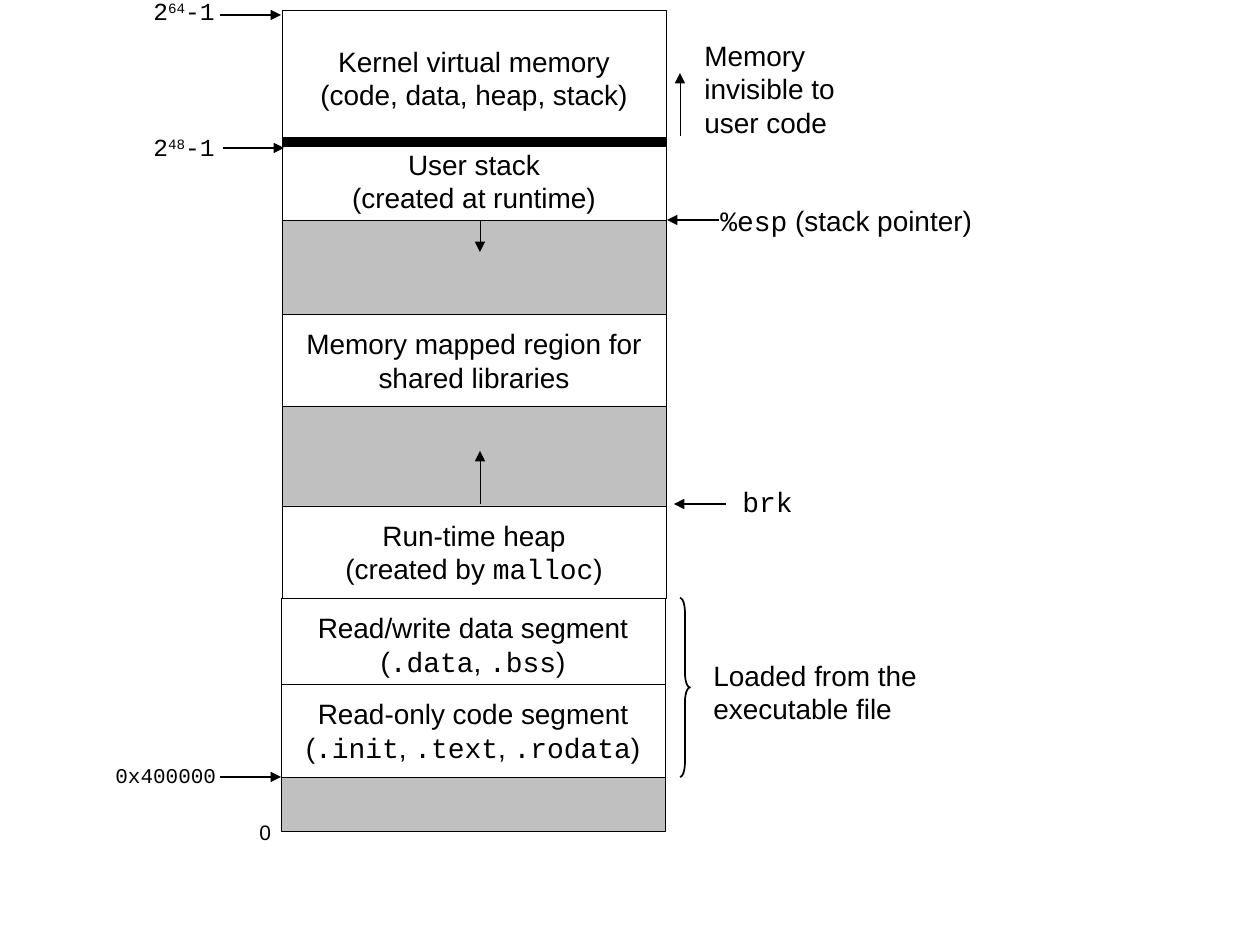
from pptx import Presentation
from pptx.dml.color import RGBColor
from pptx.enum.shapes import MSO_CONNECTOR as Conn, MSO_SHAPE as Kind
from pptx.enum.text import MSO_ANCHOR as Anchor, MSO_AUTO_SIZE as Fit, PP_ALIGN as Align
from pptx.oxml.ns import qn
from pptx.util import Emu, Pt
from lxml.etree import SubElement

BLACK, WHITE, GRAY = "000000", "FFFFFF", "C0C0C0"
SANS, MONO = "Arial", "Courier New"
WIDE = 384

# `mono` and ^raised^ mark the runs
BOXES = [
    (282, 10, 136, WHITE, ["Kernel virtual memory", "(code, data, heap, stack)"]),
    (282, 314, 92, WHITE, ["Memory mapped region for", "shared libraries"]),
    (282, 406, 100, GRAY, []),
    (282, 506, 92, WHITE, ["Run-time heap", "(created by `malloc`)"]),
    (282, 189, 125, GRAY, []),
    (282, 142, 78, WHITE, ["User stack", "(created at runtime)"]),
    (281, 777, 54, GRAY, []),
    (281, 598, 92, WHITE, ["Read/write data segment", "(`.data`, `.bss`)"]),
    (281, 684, 93, WHITE, ["Read-only code segment", "(`.init`, `.text`, `.rodata`)"]),
]
LABELS = [
    (247, 813, 36, 38, 12, ["0"]),
    (708, 197, 278, 46, 16, ["`%esp` (stack pointer)"]),
    (692, 32, 156, 113, 16, ["Memory", "invisible to", "user code"]),
    (730, 478, 76, 46, 16, ["`brk`"]),
    (103, 756, 128, 38, 12, ["`0x400000`"]),
    (701, 652, 237, 80, 16, ["Loaded from the", "executable file"]),
    (141, 126, 90, 43, 14, ["`2^48^-1`"]),
    (141, -10, 90, 43, 14, ["`2^64^-1`"]),
]
ARROWS = [
    (480, 504, 480, 451, 0.25),
    (480, 220, 480, 252, 0.25),
    (680, 136, 680, 73, 0.25),
    (719, 220, 667, 220, 1),
    (726, 504, 674, 504, 1),
    (220, 777, 281, 777, 1),
    (223, 148, 284, 148, 1),
    (220, 15, 281, 15, 1),
]


def px(n):
    return Emu(round(n * 914400 / 126))


def ink(hue):
    return RGBColor.from_string(hue)


def write(shape, rows, size=16, align=Align.LEFT, anchor=Anchor.TOP):
    frame = shape.text_frame
    frame.word_wrap = False
    frame.vertical_anchor = anchor
    for i, row in enumerate(rows):
        para = frame.paragraphs[0] if i == 0 else frame.add_paragraph()
        para.alignment = align
        for j, part in enumerate(row.split("`")):
            for k, bit in enumerate(part.split("^")):
                if not bit:
                    continue
                run = para.add_run()
                run.text = bit
                run.font.size = Pt(size)
                run.font.name = MONO if j % 2 else SANS
                run.font.color.rgb = ink(BLACK)
                if k % 2:
                    run.font._element.set("baseline", "30000")


def edge(item, width):
    item.line.color.rgb = ink(BLACK)
    item.line.width = Pt(width)


def add_line(x1, y1, x2, y2, width, head=True):
    line = slide.shapes.add_connector(Conn.STRAIGHT, px(x1), px(y1), px(x2), px(y2))
    edge(line, width)
    if head:
        SubElement(line.line._get_or_add_ln(), qn("a:tailEnd"), type="triangle")
    SubElement(line._element.spPr, qn("a:effectLst"))


def add_box(kind, x, y, w, h, width):
    box = slide.shapes.add_shape(kind, px(x), px(y), px(w), px(h))
    box.shadow.inherit = False
    edge(box, width)
    return box


deck = Presentation()
deck.slide_width, deck.slide_height = px(1260), px(945)
slide = deck.slides.add_slide(deck.slide_layouts[6])

for x, y, h, hue, rows in BOXES:
    box = add_box(Kind.RECTANGLE, x, y, WIDE, h, 0.25)
    box.fill.solid()
    box.fill.fore_color.rgb = ink(hue)
    write(box, rows, align=Align.CENTER, anchor=Anchor.MIDDLE)

add_line(282, 142, 666, 142, 6, head=False)

brace = add_box(Kind.RIGHT_BRACE, 680, 598, 10, 179, 1)
brace.fill.background()
brace.adjustments[0] = 1.42
brace.adjustments[1] = 0.5

for x, y, w, h, size, rows in LABELS:
    label = slide.shapes.add_textbox(px(x), px(y), px(w), px(h))
    write(label, rows, size)
    label.text_frame.auto_size = Fit.SHAPE_TO_FIT_TEXT

for arrow in ARROWS:
    add_line(*arrow)

deck.save("out.pptx")
